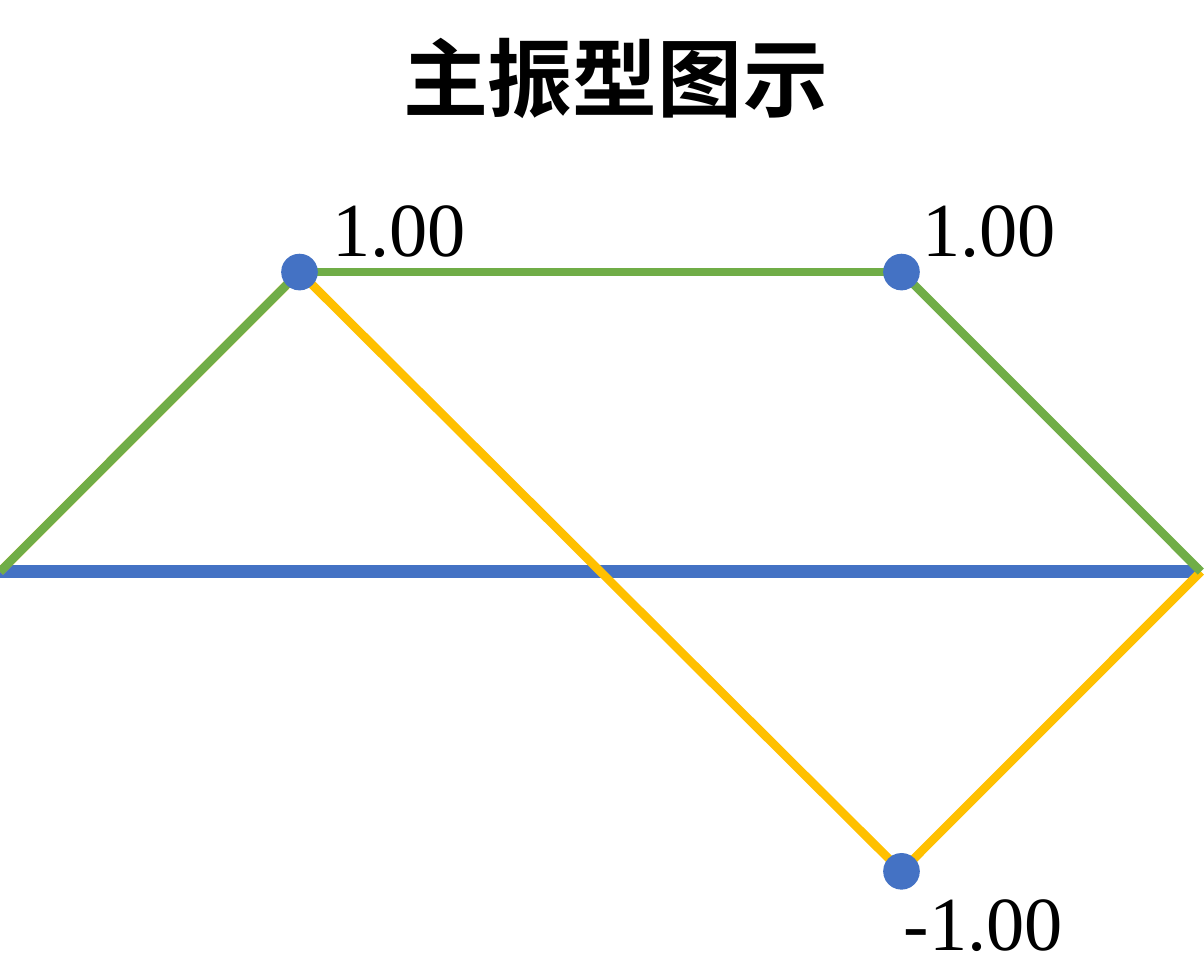
from itertools import pairwise

from lxml import etree
from pptx import Presentation
from pptx.dml.color import RGBColor
from pptx.enum.shapes import MSO_CONNECTOR as CONN, MSO_SHAPE as SHAPE
from pptx.enum.text import MSO_ANCHOR as ANCHOR, MSO_AUTO_SIZE as AUTO, PP_ALIGN as ALIGN
from pptx.oxml.ns import qn
from pptx.util import Inches, Pt

BLUE, YELLOW, GREEN, BLACK = "4472C4", "FFC000", "70AD47", "000000"


def rgb(color):
    return RGBColor.from_string(color)


class Diagram:
    """Style and element methods for one slide."""

    title_font = "Noto Sans CJK SC"
    label_font = "Times New Roman"
    dot = 0.12

    def __init__(self, slide):
        self.s = slide

    def set_text(self, sp, text, size, font, bold=False, align=ALIGN.LEFT, anchor=ANCHOR.TOP):
        tf = sp.text_frame
        tf.word_wrap = False
        tf.auto_size = AUTO.SHAPE_TO_FIT_TEXT
        tf.vertical_anchor = anchor
        p = tf.paragraphs[0]
        p.alignment = align
        r = p.add_run()
        r.text = text
        r.font.size, r.font.name, r.font.bold = Pt(size), font, bold
        r.font.color.rgb = rgb(BLACK)
        etree.SubElement(r.font._element, qn("a:ea")).set("typeface", font)

    def title(self, text, x, y, w, h):
        sp = self.s.shapes.title
        sp.left, sp.top, sp.width, sp.height = map(Inches, (x, y, w, h))
        self.set_text(sp, text, 20, self.title_font, True, ALIGN.CENTER, ANCHOR.MIDDLE)

    def label(self, text, x, y, w, h=0.4):
        sp = self.s.shapes.add_textbox(*map(Inches, (x, y, w, h)))
        self.set_text(sp, text, 18, self.label_font)

    def polyline(self, points, color, width=2):
        for start, end in pairwise(points):
            sp = self.s.shapes.add_connector(CONN.STRAIGHT, *map(Inches, start + end))
            sp.line.color.rgb = rgb(color)
            sp.line.width = Pt(width)
            etree.SubElement(sp._element.spPr, qn("a:effectLst"))

    def node(self, x, y):
        d = self.dot
        sp = self.s.shapes.add_shape(
            SHAPE.OVAL, *map(Inches, (x - d / 2, y - d / 2, d, d)))
        sp.shadow.inherit = False
        sp.fill.solid()
        sp.fill.fore_color.rgb = rgb(BLUE)
        sp.line.fill.background()


prs = Presentation()
prs.slide_width, prs.slide_height = Inches(3.94), Inches(3.15)
dia = Diagram(prs.slides.add_slide(prs.slide_layouts[5]))

# Title
dia.title("主振型图示", 1.21, 0.03, 1.61, 0.44)

# Supports and mass positions, with the modal amplitude around the axis
left, mass1, mass2, right = 0, 0.98, 2.95, 3.93
axis, amplitude = 1.87, 0.98


def at(x, value=0):
    return x, axis - value * amplitude


# Rest axis and the two mode shapes
dia.polyline([at(left), at(right)], BLUE, 3)
for color, value in ((YELLOW, -1), (GREEN, 1)):
    dia.polyline([at(left), at(mass1, 1), at(mass2, value), at(right)], color)

# Masses and their amplitudes: position, value, label offset and width
masses = [
    (mass1, 1, 0.01, -0.35, 0.66),
    (mass2, 1, -0.03, -0.35, 0.66),
    (mass2, -1, -0.09, -0.04, 0.73),
]
for x, value, dx, dy, w in masses:
    px, py = at(x, value)
    dia.node(px, py)
    dia.label(f"{value:.2f}", px + dx, py + dy, w)

prs.save("out.pptx")
